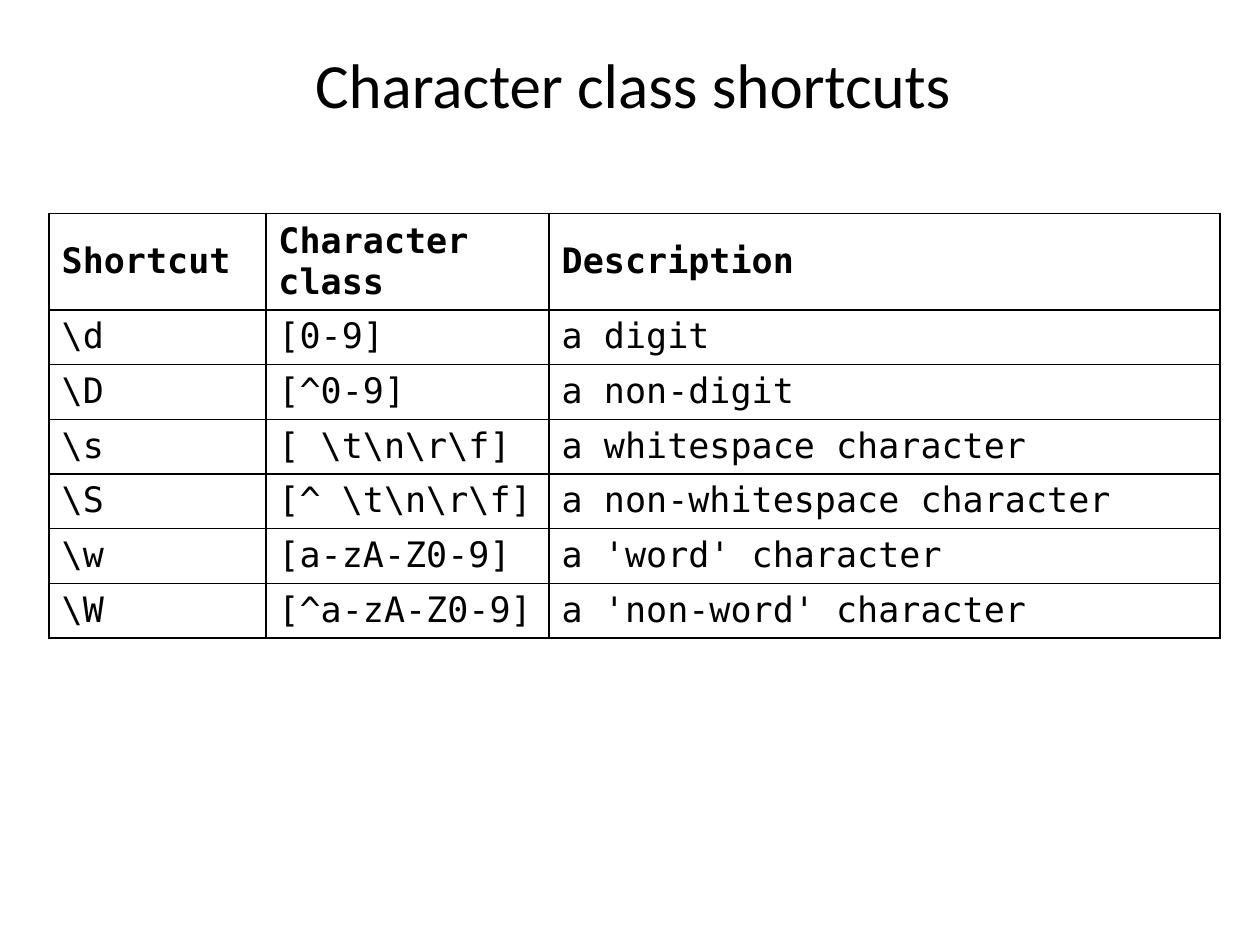
from dataclasses import dataclass

from lxml import etree
from pptx import Presentation
from pptx.dml.color import RGBColor
from pptx.enum.text import MSO_ANCHOR, PP_ALIGN
from pptx.oxml.ns import qn
from pptx.util import Cm, Pt

MIDDLE, TOP = MSO_ANCHOR.MIDDLE, MSO_ANCHOR.TOP
CENTER, LEFT = PP_ALIGN.CENTER, PP_ALIGN.LEFT


@dataclass(frozen=True)
class Theme:
    """Colours, fonts and sizes of the slide."""
    ink: str = "000000"
    title_font: str = "Calibri"
    code_font: str = "DejaVu Sans Mono"
    title_size: int = 36
    code_size: int = 20
    border: int = 1


THEME = Theme()
TITLE_BOX = (1.04, 0.48, 23.44, 2.39)
TABLE_BOX = (0.99, 4.3, 23.6, 7.28)
COLUMN_WIDTHS = (4.37, 5.71, 13.52)
ROWS = (
    ("Shortcut", "Character class", "Description"),
    (r"\d", "[0-9]", "a digit"),
    (r"\D", "[^0-9]", "a non-digit"),
    (r"\s", r"[ \t\n\r\f]", "a whitespace character"),
    (r"\S", r"[^ \t\n\r\f]", "a non-whitespace character"),
    (r"\w", "[a-zA-Z0-9]", "a 'word' character"),
    (r"\W", "[^a-zA-Z0-9]", "a 'non-word' character"),
)


def add_text(tf, text, font, size, align=LEFT, bold=False):
    """Write one run into the first paragraph of a text frame."""
    p = tf.paragraphs[0]
    p.alignment = align
    r = p.add_run()
    r.text = text
    r.font.name = font
    r.font.size = Pt(size)
    r.font.bold = bold
    r.font.color.rgb = RGBColor.from_string(THEME.ink)


def add_borders(cell):
    """Draw a thin solid line on all four sides of a cell."""
    tc_pr = cell._tc.get_or_add_tcPr()
    for side in ("lnL", "lnR", "lnT", "lnB"):
        ln = etree.SubElement(tc_pr, qn(f"a:{side}"), w=str(Pt(THEME.border)))
        fill = etree.SubElement(ln, qn("a:solidFill"))
        etree.SubElement(fill, qn("a:srgbClr"), val=THEME.ink)


def add_title(s, box, text):
    """Place the centred slide title in its box."""
    tf = s.shapes.add_textbox(*map(Cm, box)).text_frame
    tf.word_wrap = True
    tf.vertical_anchor = MIDDLE
    add_text(tf, text, THEME.title_font, THEME.title_size, CENTER)


def add_shortcut_table(s, box, rows, widths):
    """Place the bordered table with a bold header row in its box."""
    table = s.shapes.add_table(len(rows), len(widths), *map(Cm, box)).table
    table.first_row = table.horz_banding = False
    for column, width in zip(table.columns, widths):
        column.width = Cm(width)
    for i, (row, texts) in enumerate(zip(table.rows, rows)):
        header = i == 0
        for cell, text in zip(row.cells, texts):
            add_borders(cell)
            cell.fill.background()
            cell.vertical_anchor = MIDDLE if header else TOP
            add_text(cell.text_frame, text, THEME.code_font, THEME.code_size, bold=header)


def main():
    """Build and save the slide."""
    prs = Presentation()
    prs.slide_width, prs.slide_height = Cm(25.4), Cm(19.05)
    s = prs.slides.add_slide(prs.slide_layouts[6])
    add_title(s, TITLE_BOX, "Character class shortcuts")
    add_shortcut_table(s, TABLE_BOX, ROWS, COLUMN_WIDTHS)
    prs.save("out.pptx")


if __name__ == "__main__":
    main()
